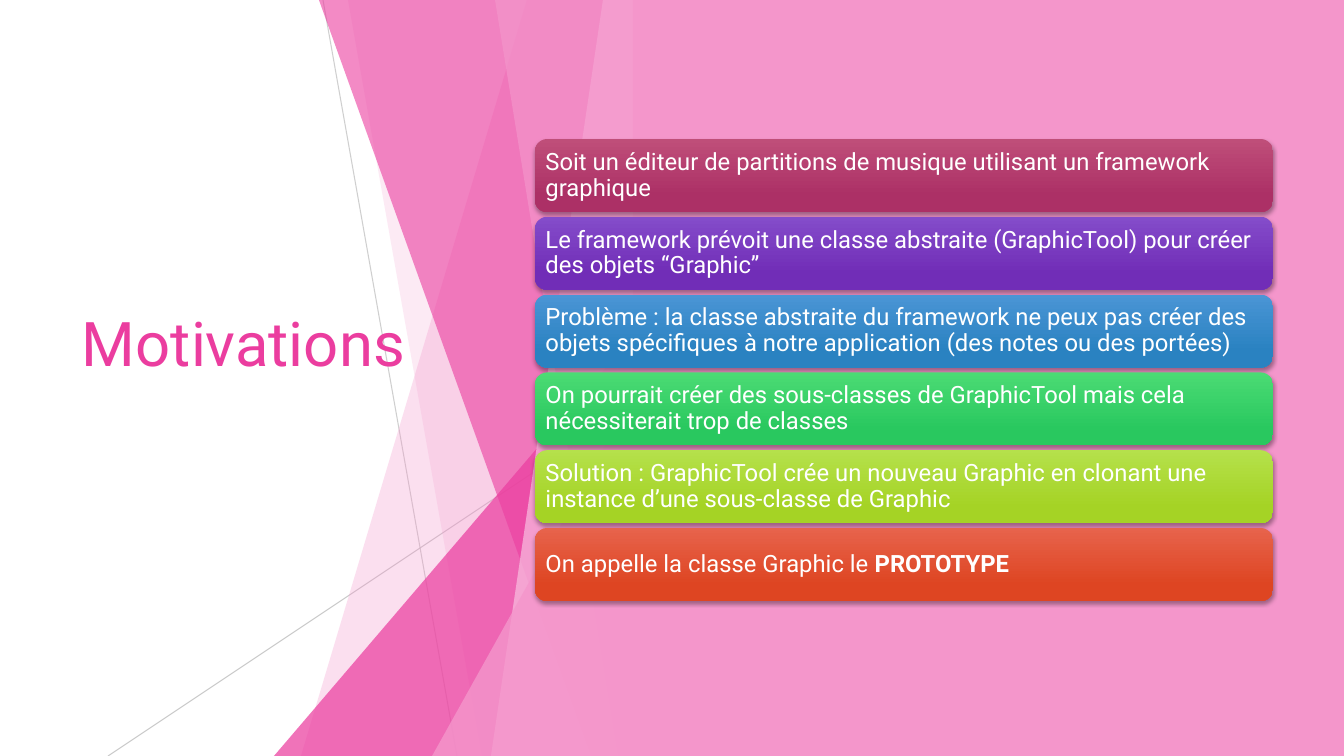
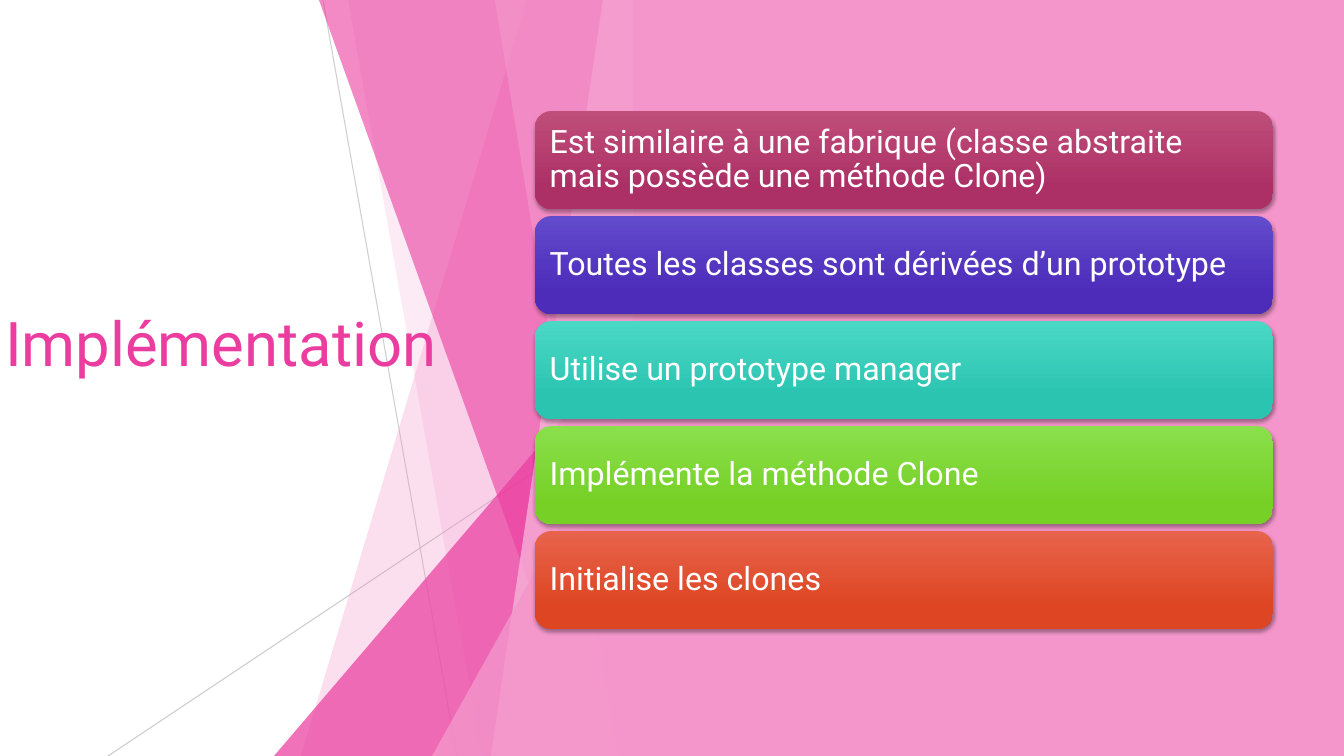
from dataclasses import dataclass

from lxml import etree
from pptx import Presentation
from pptx.dml.color import RGBColor
from pptx.enum.shapes import MSO_CONNECTOR, MSO_SHAPE
from pptx.enum.text import MSO_ANCHOR, MSO_AUTO_SIZE, PP_ALIGN
from pptx.oxml.ns import qn
from pptx.util import Pt

STRAIGHT = MSO_CONNECTOR.STRAIGHT
RECTANGLE = MSO_SHAPE.RECTANGLE
ROUNDED = MSO_SHAPE.ROUNDED_RECTANGLE
TRIANGLE = MSO_SHAPE.ISOSCELES_TRIANGLE
MIDDLE = MSO_ANCHOR.MIDDLE
NO_AUTOFIT = MSO_AUTO_SIZE.NONE
LEFT = PP_ALIGN.LEFT

EMU_PER_PIXEL = 914400 / 100.8
PAGE_WIDTH, PAGE_HEIGHT = 1344, 756
PANEL_LEFT = 633
CARD_LEFT, CARD_WIDTH = 535, 738
TITLE_TOP, TITLE_HEIGHT = 152, 452
TITLE_LIFT = 72
TITLE_ONLY = 5


@dataclass(frozen=True)
class Theme:
    font: str = "Roboto"
    title_size: int = 44
    hairline: float = 0.75
    white: str = "FFFFFF"
    grey: str = "BFBFBF"
    black: str = "000000"
    magenta: str = "EB3D9F"
    pink: str = "F496CB"
    pale_pink: str = "F8C0E0"
    # Card gradients, top colour then bottom colour
    raspberry: tuple = ("BF4E79", "AC3066")
    purple: tuple = ("844CCA", "712DB7")
    indigo: tuple = ("634BCD", "4C2CB9")
    blue: tuple = ("4A95D5", "2A82C1")
    teal: tuple = ("4AD8C5", "2AC4B1")
    emerald: tuple = ("4BDB74", "29C85F")
    green: tuple = ("89E04B", "76D026")
    lime: tuple = ("B5E14B", "A5D325")
    orange: tuple = ("E7634C", "DE4522")


THEME = Theme()


def px(length):
    return round(length * EMU_PER_PIXEL)


def set_alpha(color_element, percent):
    alpha = etree.SubElement(color_element, qn("a:alpha"))
    alpha.set("val", str(percent * 1000))


def write(frame, *spans, size, color, spacing=None, margins=(10, 5, 10, 5)):
    """Fill a text frame with one paragraph of (text, bold) spans."""
    frame.word_wrap = True
    frame.auto_size = NO_AUTOFIT
    frame.vertical_anchor = MIDDLE
    (frame.margin_left, frame.margin_top,
     frame.margin_right, frame.margin_bottom) = map(px, margins)
    para = frame.paragraphs[0]
    para.alignment = LEFT
    if spacing:
        para.line_spacing = spacing
    for text, bold in spans:
        span = para.add_run()
        span.text = text
        span.font.name = THEME.font
        span.font.size = Pt(size)
        span.font.bold = bold
        span.font.color.rgb = RGBColor.from_string(color)


class Painter:
    """Holds the theme and the current page."""

    def __init__(self, deck, theme):
        self.deck = deck
        self.theme = theme
        self.page = None

    def new_page(self):
        self.page = self.deck.slides.add_slide(self.deck.slide_layouts[TITLE_ONLY])

    def paint(self, shape, color, alpha=100):
        shape.shadow.inherit = False
        shape.line.fill.background()
        shape.fill.solid()
        shape.fill.fore_color.rgb = RGBColor.from_string(color)
        if alpha < 100:
            set_alpha(shape.element.spPr.find(".//" + qn("a:srgbClr")), alpha)

    def line(self, start, end, alpha):
        line = self.page.shapes.add_connector(STRAIGHT, *map(px, start + end))
        line.line.width = Pt(self.theme.hairline)
        line.line.color.rgb = RGBColor.from_string(self.theme.grey)
        properties = line.element.spPr
        set_alpha(properties.find(".//" + qn("a:srgbClr")), alpha)
        etree.SubElement(properties, qn("a:effectLst"))

    def facet(self, top_left, bottom_left, color, alpha):
        """A full-height band with a slanted left edge, ending at the panel."""
        builder = self.page.shapes.build_freeform(top_left, 0, scale=EMU_PER_PIXEL)
        builder.add_line_segments([(PANEL_LEFT, 0), (PANEL_LEFT, PAGE_HEIGHT),
                                   (bottom_left, PAGE_HEIGHT)], close=True)
        self.paint(builder.convert_to_shape(), color, alpha)

    def corner(self, left, top, color, alpha):
        """A right-angled triangle standing against the panel."""
        shape = self.page.shapes.add_shape(
            TRIANGLE, px(left), px(top), px(PANEL_LEFT - left), px(PAGE_HEIGHT - top))
        shape.adjustments[0] = 1
        self.paint(shape, color, alpha)

    def backdrop(self):
        theme = self.theme
        self.line((323, 0), (457, PAGE_HEIGHT), 75)
        self.line((PANEL_LEFT, 406), (108, PAGE_HEIGHT), 80)
        self.facet(527, 301, theme.pink, 30)
        self.facet(348, 482, theme.pink, 20)
        self.corner(274, 336, theme.magenta, 72)
        self.facet(319, 591, theme.magenta, 60)
        self.facet(603, 491, theme.pale_pink, 70)
        self.facet(495, 618, theme.pink, 65)
        self.corner(432, 396, theme.pink, 80)

    def panel(self):
        shape = self.page.shapes.add_shape(
            RECTANGLE, px(PANEL_LEFT), 0, px(PAGE_WIDTH - PANEL_LEFT), px(PAGE_HEIGHT))
        self.paint(shape, self.theme.pink)

    def title(self, text, left, width):
        title = self.page.shapes.title
        title.left, title.top = px(left), px(TITLE_TOP)
        title.width, title.height = px(width), px(TITLE_HEIGHT)
        write(title.text_frame, (text, False), size=self.theme.title_size,
              color=self.theme.magenta, margins=(10, 5, 10, 5 + TITLE_LIFT))
        # Bring the title in front of the backdrop
        title.element.getparent().append(title.element)

    def card_shadow(self, shape):
        shape.shadow.inherit = False
        effects = shape.element.spPr.find(qn("a:effectLst"))
        shadow = etree.SubElement(effects, qn("a:outerShdw"), blurRad=str(Pt(3)),
                                  dist=str(Pt(2)), dir="5400000", rotWithShape="0")
        color = etree.SubElement(shadow, qn("a:srgbClr"), val=self.theme.black)
        set_alpha(color, 35)

    def card(self, top, height, colors, *spans, size, margin):
        shape = self.page.shapes.add_shape(
            ROUNDED, px(CARD_LEFT), px(top), px(CARD_WIDTH), px(height))
        shape.line.fill.background()
        shape.fill.gradient()
        shape.fill.gradient_angle = 270
        for stop, color, position in zip(shape.fill.gradient_stops, colors, (0, 0.78)):
            stop.color.rgb = RGBColor.from_string(color)
            stop.position = position
        self.card_shadow(shape)
        write(shape.text_frame, *spans, size=size, color=self.theme.white,
              spacing=0.9, margins=(margin,) * 4)

    def card_stack(self, cards, top, bottom, height, size, margin):
        pitch = (bottom - top - height) / (len(cards) - 1)
        for index, (colors, *spans) in enumerate(cards):
            self.card(top + index * pitch, height, colors, *spans,
                      size=size, margin=margin)


# Content
MOTIVATIONS = [
    (THEME.raspberry, ("Soit un éditeur de partitions de musique utilisant "
                       "un framework graphique", False)),
    (THEME.purple, ("Le framework prévoit une classe abstraite (GraphicTool) "
                    "pour créer des objets “Graphic”", False)),
    (THEME.blue, ("Problème : la classe abstraite du framework ne peux pas créer des "
                  "objets spécifiques à notre application "
                  "(des notes ou des portées)", False)),
    (THEME.emerald, ("On pourrait créer des sous-classes de GraphicTool mais cela "
                     "nécessiterait trop de classes", False)),
    (THEME.lime, ("Solution : GraphicTool crée un nouveau Graphic en clonant une "
                  "instance d’une sous-classe de Graphic", False)),
    (THEME.orange, ("On appelle la classe Graphic le ", False), ("PROTOTYPE", True)),
]
IMPLEMENTATION = [
    (THEME.raspberry, ("Est similaire à une fabrique (classe abstraite mais possède "
                       "une méthode Clone)", False)),
    (THEME.indigo, ("Toutes les classes sont dérivées d’un prototype", False)),
    (THEME.teal, ("Utilise un prototype manager", False)),
    (THEME.green, ("Implémente la méthode Clone", False)),
    (THEME.orange, ("Initialise les clones", False)),
]
PAGES = [
    (dict(text="Motivations", left=72, width=391),
     dict(cards=MOTIVATIONS, top=139, bottom=601, height=73, size=17, margin=7)),
    (dict(text="Implémentation", left=-5, width=497),
     dict(cards=IMPLEMENTATION, top=111, bottom=629, height=98, size=23, margin=10)),
]


def main():
    deck = Presentation()
    deck.slide_width, deck.slide_height = px(PAGE_WIDTH), px(PAGE_HEIGHT)
    painter = Painter(deck, THEME)
    for title, stack in PAGES:
        painter.new_page()
        painter.backdrop()
        painter.title(**title)
        painter.panel()
        painter.card_stack(**stack)
    deck.save("out.pptx")


main()
